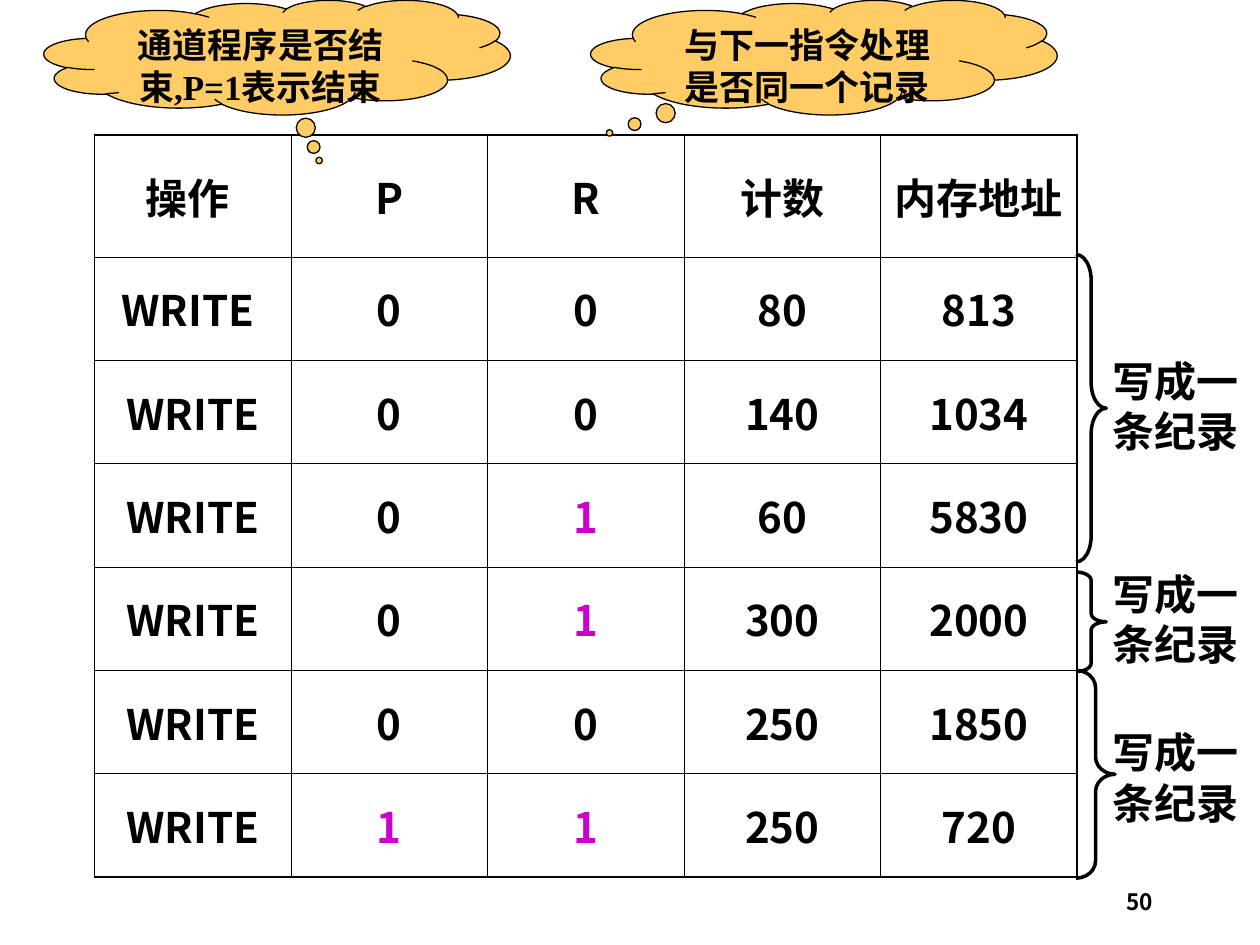
from dataclasses import dataclass

from lxml import etree
from pptx import Presentation, util as u
from pptx.dml.color import RGBColor
from pptx.enum import shapes, text
from pptx.oxml import ns

# Grid: 100 columns by 75 rows of square units
WIDE, HIGH = u.Inches(10), u.Inches(7.5)
COLS, ROWS = 100, 75
HUES = {"ink": "000000", "mark": "CC00CC", "cloud": "FFCC66"}
SANS, SERIF = "Noto Sans CJK SC", "Times New Roman"
THIN, THICK = 0.45, 1.08


@dataclass
class Box:
    col: float
    row: float
    wide: float
    high: float

    def emu(self) -> tuple:
        return (int(self.col * WIDE / COLS), int(self.row * HIGH / ROWS),
                int(self.wide * WIDE / COLS), int(self.high * HIGH / ROWS))


@dataclass
class Group:
    brace: Box
    label: float  # top row of the label


@dataclass
class Cloud:
    box: Box
    words: str
    tail: tuple


TABLE = Box(7.5, 10.7, 78, 58.9)
HEAD, BODY = 9.7, 8.2
DATA = [
    ("操作 ", "P", "R", "计数", "内存地址"),
    ("WRITE ", "0", "0", "80", "813"),
    ("WRITE", "0", "0", "140", "1034"),
    ("WRITE", "0", "1", "60", "5830"),
    ("WRITE", "0", "1", "300", "2000"),
    ("WRITE", "0", "0", "250", "1850"),
    ("WRITE", "1", "1", "250", "720"),
]
GROUPS = [
    Group(Box(85.4, 20.2, 2.4, 24.4), 27.7),
    Group(Box(85.4, 45.4, 2.4, 7.9), 44.6),
    Group(Box(85.4, 53.2, 3.1, 16.5), 57.2),
]
CLOUDS = [
    Cloud(Box(3.5, 0, 37, 9.1), "通道程序是否结束,P=1表示结束", (0.09, 0.9)),
    Cloud(Box(46.9, 0, 37, 9.1), "与下一指令处理是否同一个记录", (-0.46, 0.66)),
]


def tint(name: str) -> RGBColor:
    return RGBColor.from_string(HUES[name])


def write(frame, words: str, size: float = 24, font: str = SANS,
          hue: str = "ink", align=text.PP_ALIGN.CENTER) -> None:
    """Fill a text frame with one bold paragraph."""
    frame.word_wrap = True
    para = frame.paragraphs[0]
    para.alignment = align
    run = para.add_run()
    run.text = words
    run.font.size, run.font.bold, run.font.name = u.Pt(size), True, font
    run.font.color.rgb = tint(hue)
    east = etree.SubElement(run._r.get_or_add_rPr(), ns.qn("a:ea"))
    east.set("typeface", SANS)


def label(slide, box: Box, words: str, **form) -> None:
    write(slide.shapes.add_textbox(*box.emu()).text_frame, words, **form)


def edge(cell, sides: dict) -> None:
    """Draw cell borders; they come before the fill."""
    props = cell._tc.get_or_add_tcPr()
    for spot, (side, width) in enumerate(sides.items()):
        line = etree.Element(ns.qn(f"a:ln{side}"), w=str(u.Pt(width)))
        fill = etree.SubElement(line, ns.qn("a:solidFill"))
        etree.SubElement(fill, ns.qn("a:srgbClr"), val=HUES["ink"])
        props.insert(spot, line)


def grid(slide) -> None:
    last, end = len(DATA) - 1, len(DATA[0]) - 1
    table = slide.shapes.add_table(last + 1, end + 1, *TABLE.emu()).table
    table.first_row = table.horz_banding = False
    for r, row in enumerate(DATA):
        table.rows[r].height = int((BODY if r else HEAD) * HIGH / ROWS)
        for c, words in enumerate(row):
            cell = table.cell(r, c)
            cell.fill.background()
            cell.vertical_anchor = text.MSO_ANCHOR.MIDDLE
            write(cell.text_frame, words, hue="mark" if words == "1" else "ink")
            outer = {"L": c == 0, "R": c == end, "T": r == 0, "B": r == last}
            edge(cell, {s: THICK if o else THIN for s, o in outer.items()})


def shape(slide, kind, box: Box, width: float, fill: str = ""):
    item = slide.shapes.add_shape(kind, *box.emu())
    item.shadow.inherit = False
    item.line.color.rgb, item.line.width = tint("ink"), u.Pt(width)
    if fill:
        item.fill.solid()
        item.fill.fore_color.rgb = tint(fill)
    else:
        item.fill.background()
    return item


def bracket(slide, group: Group) -> None:
    box = group.brace
    brace = shape(slide, shapes.MSO_SHAPE.RIGHT_BRACE, box, 2)
    brace.adjustments[0] = box.high / 12 / min(box.wide, box.high)
    label(slide, Box(87.3, group.label, 12.7, 9), "写成一条纪录",
          font=SERIF, align=text.PP_ALIGN.LEFT)


def bubble(slide, cloud: Cloud) -> None:
    item = shape(slide, shapes.MSO_SHAPE.CLOUD_CALLOUT, cloud.box, 0.75, "cloud")
    item.adjustments[0], item.adjustments[1] = cloud.tail
    item.text_frame.vertical_anchor = text.MSO_ANCHOR.TOP
    write(item.text_frame, cloud.words, size=20, font=SERIF)


def main() -> None:
    deck = Presentation()
    deck.slide_width, deck.slide_height = WIDE, HIGH
    slide = deck.slides.add_slide(deck.slide_layouts[6])
    # Page number
    label(slide, Box(71.7, 70, 20.8, 3.3), "50", size=12.9,
          align=text.PP_ALIGN.RIGHT)
    # Channel commands and the records they form
    grid(slide)
    for group in GROUPS:
        bracket(slide, group)
    # Notes on the P and R flags
    for cloud in CLOUDS:
        bubble(slide, cloud)
    deck.save("out.pptx")


if __name__ == "__main__":
    main()
